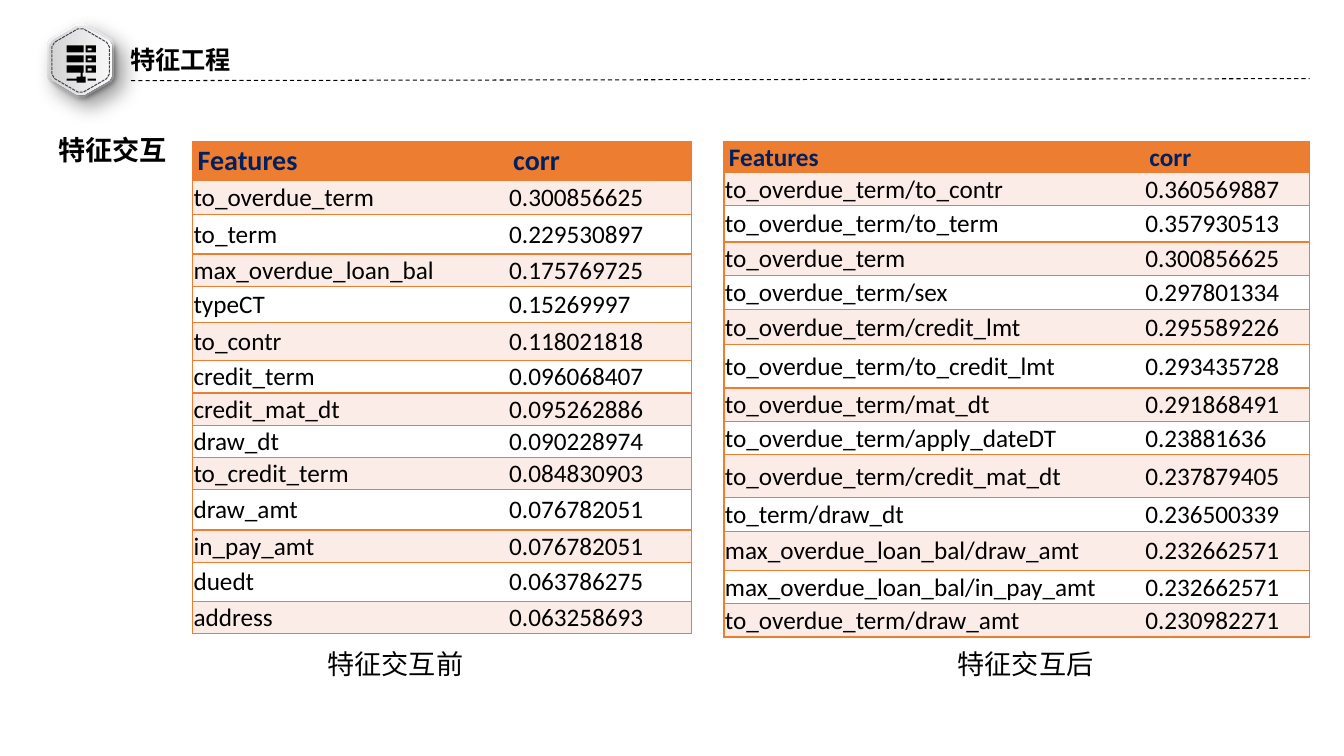
import math
from lxml import etree
from pptx import Presentation
from pptx.dml.color import RGBColor
from pptx.enum import dml, shapes, text
from pptx.oxml import parse_xml
from pptx.oxml.ns import nsdecls, qn
from pptx.util import Inches, Pt

BLACK = RGBColor(0x00, 0x00, 0x00)
WHITE = RGBColor(0xFF, 0xFF, 0xFF)
NAVY = RGBColor(0x00, 0x20, 0x60)
ORANGE = RGBColor(0xED, 0x7D, 0x31)
BLUSH = RGBColor(0xFC, 0xEC, 0xE8)
SLATE = RGBColor(0x41, 0x44, 0x55)
SILVER = RGBColor(0xD3, 0xD3, 0xD3)
MIST = RGBColor(0xF9, 0xF9, 0xF9)
NO_STYLE = "{2D5ABB26-0587-4C30-8999-92F81FD0307C}"


def write(frame, words, size, color=BLACK, bold=False):
    frame.text = words
    paragraph = frame.paragraphs[0]
    paragraph.alignment = text.PP_ALIGN.LEFT
    font = paragraph.runs[0].font
    font.name, font.size, font.bold = "Calibri", Pt(size), bold
    font.color.rgb = color


def outline(contours):
    (start, *rest), *others = [[(Inches(x), Inches(y)) for x, y in c] for c in contours]
    builder = slide.shapes.build_freeform(*start)
    builder.add_line_segments(rest)
    for first, *following in others:
        builder.move_to(*first)
        builder.add_line_segments(following)
    drawn = builder.convert_to_shape()
    drawn.shadow.inherit = False
    return drawn


prs = Presentation()
prs.slide_width, prs.slide_height = Inches(13.33), Inches(7.5)
slide = prs.slides.add_slide(prs.slide_layouts[5])

title = slide.shapes.title
title.left, title.top, title.width, title.height = map(Inches, (1.22, 0.4, 2.05, 0.38))
heading = title.text_frame
heading.margin_left = heading.margin_right = Inches(0.07)
heading.margin_top = heading.margin_bottom = Inches(0.04)
heading.vertical_anchor = text.MSO_ANCHOR.TOP
heading.auto_size = text.MSO_AUTO_SIZE.SHAPE_TO_FIT_TEXT
write(heading, "特征工程", 18, bold=True)

before = [
    ("Features", "corr", 0.39),
    ("to_overdue_term", "0.300856625", 0.34),
    ("to_term", "0.229530897", 0.39),
    ("max_overdue_loan_bal", "0.175769725", 0.32),
    ("typeCT", "0.15269997", 0.36),
    ("to_contr", "0.118021818", 0.38),
    ("credit_term", "0.096068407", 0.32),
    ("credit_mat_dt", "0.095262886", 0.32),
    ("draw_dt", "0.090228974", 0.32),
    ("to_credit_term", "0.084830903", 0.32),
    ("draw_amt", "0.076782051", 0.4),
    ("in_pay_amt", "0.076782051", 0.32),
    ("duedt", "0.063786275", 0.39),
    ("address", "0.063258693", 0.32),
]
after = [
    ("Features", "corr", 0.31),
    ("to_overdue_term/to_contr", "0.360569887", 0.33),
    ("to_overdue_term/to_term", "0.357930513", 0.36),
    ("to_overdue_term", "0.300856625", 0.33),
    ("to_overdue_term/sex", "0.297801334", 0.34),
    ("to_overdue_term/credit_lmt", "0.295589226", 0.35),
    ("to_overdue_term/to_credit_lmt", "0.293435728", 0.43),
    ("to_overdue_term/mat_dt", "0.291868491", 0.33),
    ("to_overdue_term/apply_dateDT", "0.23881636", 0.33),
    ("to_overdue_term/credit_mat_dt", "0.237879405", 0.43),
    ("to_term/draw_dt", "0.236500339", 0.33),
    ("max_overdue_loan_bal/draw_amt", "0.232662571", 0.39),
    ("max_overdue_loan_bal/in_pay_amt", "0.232662571", 0.33),
    ("to_overdue_term/draw_amt", "0.230982271", 0.33),
]

for features, left, widths, header_size in (
    (before, 1.91, (3.13, 1.82), 20),
    (after, 7.18, (4.17, 1.64), 18),
):
    height = sum(row[2] for row in features)
    table = slide.shapes.add_table(
        len(features), 2, Inches(left), Inches(1.4), Inches(sum(widths)), Inches(height)
    ).table
    table.first_row = table.horz_banding = False
    table._tbl.tblPr.find(qn("a:tableStyleId")).text = NO_STYLE
    for column, width in zip(table.columns, widths):
        column.width = Inches(width)
    for r, (feature, corr, row_height) in enumerate(features):
        table.rows[r].height = Inches(row_height)
        for c, words in enumerate((feature, corr)):
            cell = table.cell(r, c)
            cell.vertical_anchor = text.MSO_ANCHOR.MIDDLE
            cell.margin_left = cell.margin_right = Inches(0.01 if r else 0.05)
            cell.margin_top, cell.margin_bottom = Inches(0.01), 0
            cell.fill.solid()
            if r == 0:
                cell.fill.fore_color.rgb = ORANGE
                write(cell.text_frame, words, header_size, NAVY, True)
            else:
                cell.fill.fore_color.rgb = BLUSH if r % 2 else WHITE
                write(cell.text_frame, words, 18)
            for order, edge in enumerate(("lnR" if c else "lnL", "lnT", "lnB")):
                cell._tc.tcPr.insert(order, parse_xml(
                    f'<a:{edge} {nsdecls("a")} w="{Pt(1)}"><a:solidFill>'
                    f'<a:srgbClr val="{ORANGE}"/></a:solidFill></a:{edge}>'))

for words, left, top, bold in (
    ("特征交互", 0.48, 1.28, True),
    ("特征交互前", 3.15, 6.38, False),
    ("特征交互后", 9.4, 6.38, False),
):
    label = slide.shapes.add_textbox(Inches(left), Inches(top), Inches(1.56), Inches(0.41))
    label.text_frame.word_wrap = False
    label.text_frame.auto_size = text.MSO_AUTO_SIZE.NONE
    label.text_frame.vertical_anchor = text.MSO_ANCHOR.MIDDLE
    write(label.text_frame, words, 19.4, bold=bold)

for radius, angle, blur, distance in ((0.37, 90, 15, 9), (0.345, 0, 4, 3), (0.315, None, 0, 0)):
    corners = [math.radians(60 * k + 30 + turn) for k in range(6) for turn in (-5, 5)]
    badge = outline([[(0.8 + radius * math.cos(a), 0.6 + radius * math.sin(a)) for a in corners]])
    if angle is None:
        badge.fill.background()
        badge.line.color.rgb = SLATE
        badge.line.width = Pt(0.75)
        badge.line.dash_style = dml.MSO_LINE.SQUARE_DOT
        continue
    badge.line.fill.background()
    badge.fill.gradient()
    badge.fill.gradient_angle = angle
    for stop, color in zip(badge.fill.gradient_stops, (SILVER, MIST)):
        stop.color.rgb = color
    badge._element.spPr.find(qn("a:effectLst")).append(parse_xml(
        f'<a:outerShdw {nsdecls("a")} blurRad="{Pt(blur)}" dist="{Pt(distance)}" dir="2700000">'
        f'<a:srgbClr val="{BLACK}"><a:alpha val="40000"/></a:srgbClr></a:outerShdw>'))

boxes = [(0.66, 0.78, 0.76, 0.8), (0.76, 0.76, 0.85, 0.82),
         (0.87, 0.78, 0.95, 0.8), (0.8, 0.72, 0.82, 0.76)]
for top in (0.45, 0.55, 0.65):
    boxes += [(0.66, top, 0.83, top + 0.07), (0.85, top, 0.95, top + 0.07),
              (0.87, top + 0.03, 0.91, top + 0.05)]
server = outline([[(x1, y1), (x2, y1), (x2, y2), (x1, y2)] for x1, y1, x2, y2 in boxes])
server.fill.solid()
server.fill.fore_color.rgb = BLACK
server.line.fill.background()

rule = slide.shapes.add_connector(
    shapes.MSO_CONNECTOR.STRAIGHT, Inches(1.3), Inches(0.8), Inches(12.99), Inches(0.78))
rule.line.color.rgb = BLACK
rule.line.width = Pt(0.75)
rule.line.dash_style = dml.MSO_LINE.DASH
etree.SubElement(rule._element.spPr, qn("a:effectLst"))

prs.save("out.pptx")
